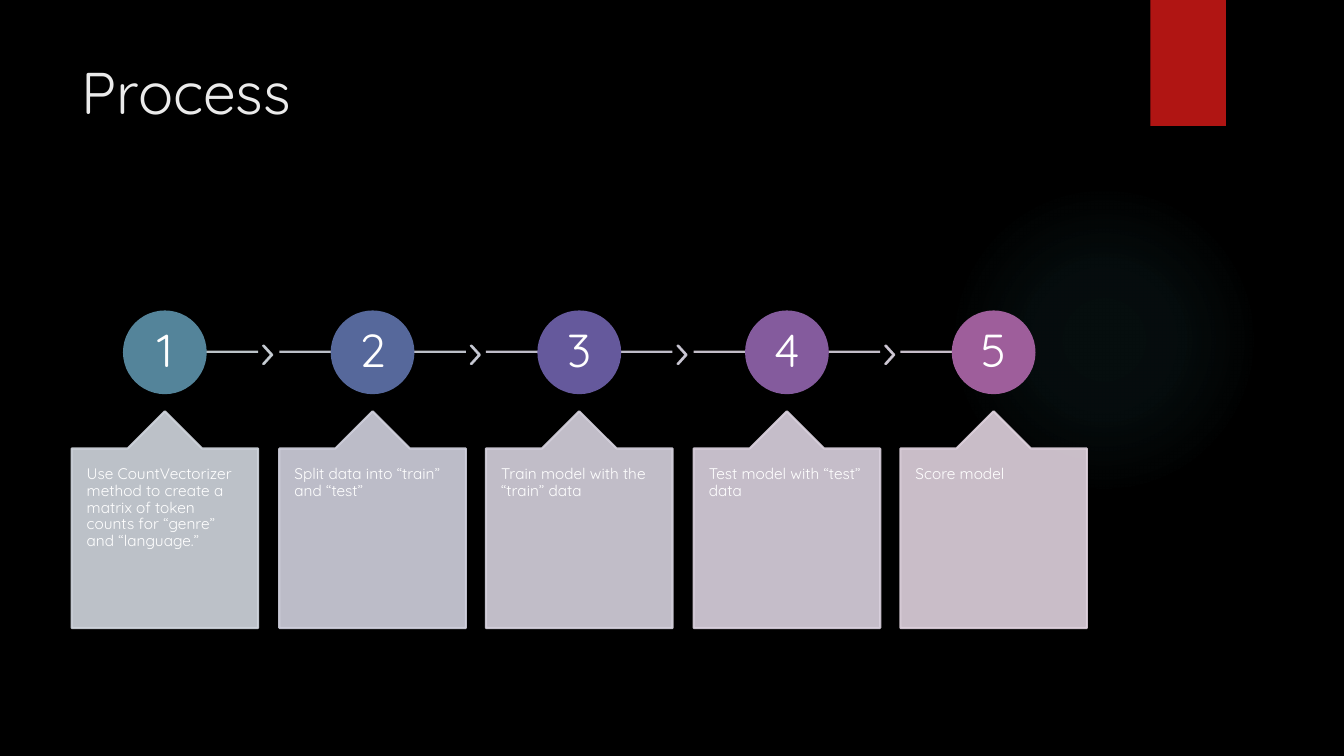
from dataclasses import dataclass

from lxml import etree
from pptx import Presentation
from pptx.dml.color import RGBColor
from pptx.enum.shapes import MSO_CONNECTOR, MSO_SHAPE
from pptx.enum.text import MSO_ANCHOR, MSO_AUTO_SIZE, PP_ALIGN
from pptx.oxml import parse_xml
from pptx.oxml.ns import nsdecls, qn
from pptx.util import Emu, Pt

PX = 9144  # 100 px to the inch
RECT, OVAL = MSO_SHAPE.RECTANGLE, MSO_SHAPE.OVAL
CHEVRON, CALLOUT = MSO_SHAPE.CHEVRON, MSO_SHAPE.UP_ARROW_CALLOUT
STRAIGHT = MSO_CONNECTOR.STRAIGHT
LEFT, CENTER = PP_ALIGN.LEFT, PP_ALIGN.CENTER
TOP, MIDDLE = MSO_ANCHOR.TOP, MSO_ANCHOR.MIDDLE


@dataclass(frozen=True)
class Theme:
    font: str = "Quicksand"
    background: str = "000000"
    title: str = "EBEBEB"
    text: str = "FFFFFF"
    ribbon: str = "B01513"
    glow: str = "50B9C1"
    title_size: int = 42
    number_size: int = 33
    body_size: int = 11
    line_width: float = 1.5
    opacity: int = 90


def px(*lengths):
    return [Emu(round(n * PX)) for n in lengths]


def write(tf, text, *, font, size, color, align=LEFT, anchor=TOP,
          insets=(10, 5), spacing=1.0):
    tf.word_wrap = True
    tf.auto_size = MSO_AUTO_SIZE.NONE
    tf.vertical_anchor = anchor
    tf.margin_left, tf.margin_top = px(*insets)
    tf.margin_right, tf.margin_bottom = px(*insets)
    p = tf.paragraphs[0]
    p.alignment = align
    p.line_spacing = spacing
    r = p.add_run()
    r.text = text
    r.font.name = font
    r.font.size = Pt(size)
    r.font.color.rgb = RGBColor.from_string(color)


class Deck:
    def __init__(self, theme):
        self.theme = theme
        self.prs = Presentation()
        self.prs.slide_width, self.prs.slide_height = px(1333, 750)
        self.s = self.prs.slides.add_slide(self.prs.slide_layouts[5])
        fill = self.s.background.fill
        fill.solid()
        fill.fore_color.rgb = RGBColor.from_string(theme.background)

    def title(self, text, *box):
        sp = self.s.shapes.title
        sp.left, sp.top, sp.width, sp.height = px(*box)
        write(sp.text_frame, text, font=self.theme.font,
              size=self.theme.title_size, color=self.theme.title)

    def stroke(self, line, color):
        line.color.rgb = RGBColor.from_string(color)
        line.width = Pt(self.theme.line_width)

    def fade(self, sp):
        for clr in sp.element.spPr.iter(qn("a:srgbClr")):
            alpha = etree.SubElement(clr, qn("a:alpha"))
            alpha.set("val", str(self.theme.opacity * 1000))

    def shape(self, kind, box, color, *, outline=True, faded=False, adj=()):
        sp = self.s.shapes.add_shape(kind, *px(*box))
        sp.shadow.inherit = False
        sp.fill.solid()
        sp.fill.fore_color.rgb = RGBColor.from_string(color)
        if outline:
            self.stroke(sp.line, color)
        else:
            sp.line.fill.background()
        for i, value in enumerate(adj):
            sp.adjustments[i] = value
        if faded:
            self.fade(sp)
        return sp

    def line(self, x1, x2, y, color):
        cx = self.s.shapes.add_connector(STRAIGHT, *px(x1, y, x2, y))
        self.stroke(cx.line, color)
        etree.SubElement(cx.element.spPr, qn("a:effectLst"))
        self.fade(cx)

    def glow(self, *box):
        sp = self.shape(OVAL, box, self.theme.glow, outline=False)
        stops = "".join(
            f'<a:gs pos="{pos}000"><a:srgbClr val="{self.theme.glow}">'
            f'<a:alpha val="{alpha}000"/></a:srgbClr></a:gs>'
            for pos, alpha in ((0, 7), (36, 6), (69, 0)))
        grad = parse_xml(
            f'<a:gradFill {nsdecls("a")}><a:gsLst>{stops}</a:gsLst>'
            '<a:path path="circle"><a:fillToRect l="50000" t="50000" '
            'r="50000" b="50000"/></a:path></a:gradFill>')
        spPr = sp.element.spPr
        spPr.replace(spPr.find(qn("a:solidFill")), grad)

    def number(self, value, box, color):
        sp = self.shape(OVAL, box, color)
        write(sp.text_frame, str(value), font=self.theme.font,
              size=self.theme.number_size, color=self.theme.text,
              align=CENTER, anchor=MIDDLE, insets=(3, 3), spacing=0.9)

    def callout(self, text, box, color):
        sp = self.shape(CALLOUT, box, color, faded=True, adj=(0.5, 0.2, 0.2, 1))
        write(sp.text_frame, text, font=self.theme.font,
              size=self.theme.body_size, color=self.theme.text,
              insets=(15, 18), spacing=0.9)


# Text, then colours of circle, line, chevron and callout
STEPS = [
    ("Use CountVectorizer method to create a matrix of token counts "
     "for “genre” and “language.”", "54849A", "D1D9DE", "D1D7DE", "D1D6DE"),
    ("Split data into “train” and “test”",
     "56689B", "D1D4DE", "D1D3DE", "D1D1DE"),
    ("Train model with the “train” data",
     "65599C", "D3D1DE", "D4D1DE", "D6D2DE"),
    ("Test model with “test” data",
     "845B9D", "D8D2DE", "D9D2DF", "DBD2DF"),
    ("Score model", "9E5E9B", "DCD2DF", None, "DFD2DE"),
]
FIRST_LEFT, PITCH, CARD_W, CIRCLE = 71, 205.6, 185, 81
LINE_Y = 349


def main():
    theme = Theme()
    deck = Deck(theme)

    # Backdrop and title
    deck.glow(941, 183, 308, 308)
    deck.shape(RECT, (1141, 0, 75, 125), theme.ribbon, outline=False)
    deck.title("Process", 71, 50, 1029, 153)

    # Process steps
    last = len(STEPS) - 1
    for i, (text, circle, line, chevron, card) in enumerate(STEPS):
        left = round(FIRST_LEFT + i * PITCH)
        right = left + CARD_W
        middle = left + CARD_W // 2
        deck.line(middle if i == 0 else left,
                  middle if i == last else right, LINE_Y, line)
        if chevron:
            deck.shape(CHEVRON, (right + 5, 343, 9, 18), chevron,
                       faded=True, adj=(0.9,))
        deck.number(i + 1, (middle - CIRCLE // 2, 309, CIRCLE, CIRCLE), circle)
        deck.callout(text, (left, 408, CARD_W, 215), card)

    deck.prs.save("out.pptx")


if __name__ == "__main__":
    main()
